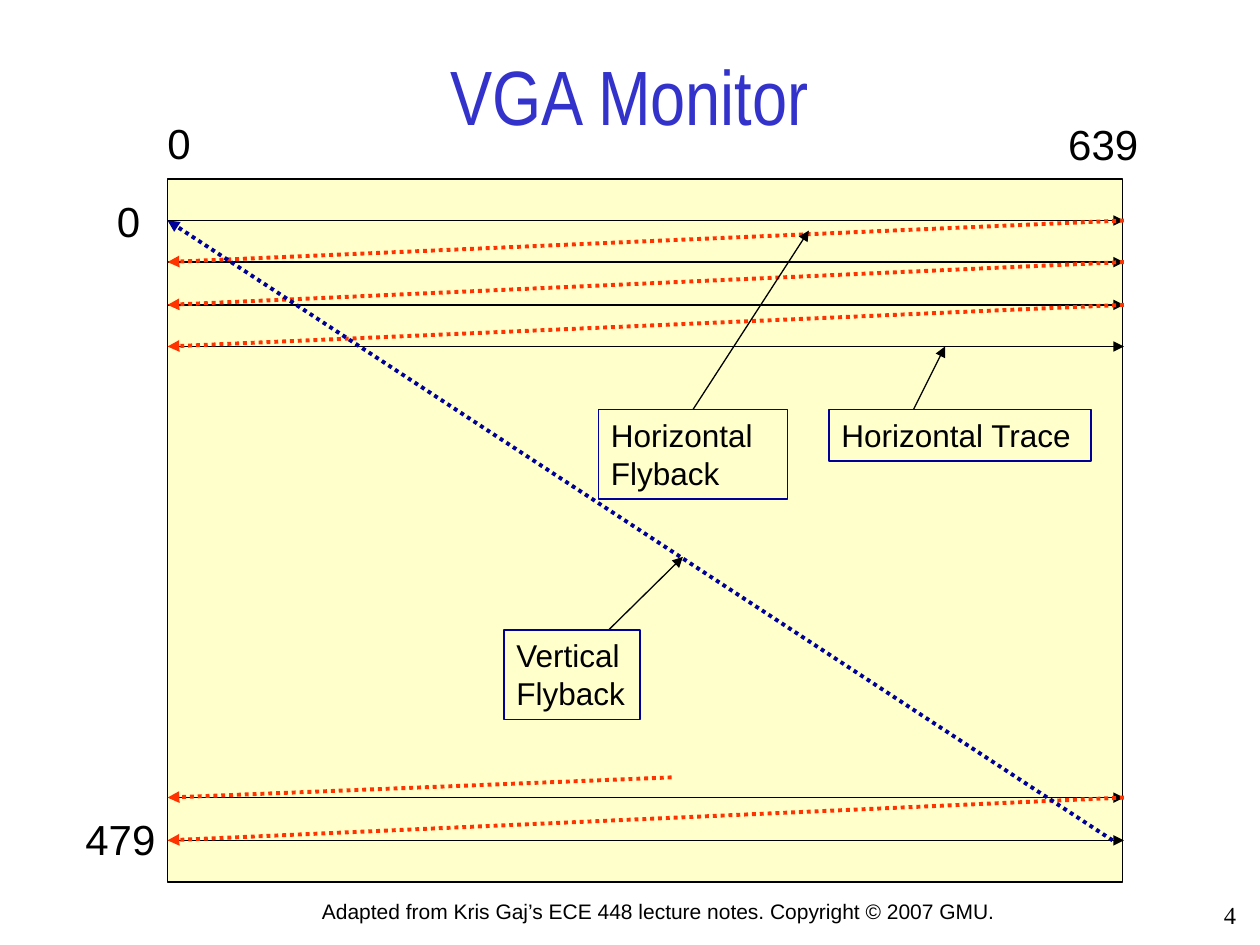
"""Build the VGA monitor scan diagram slide."""
from dataclasses import dataclass

from lxml import etree
from pptx import Presentation
from pptx.dml.color import RGBColor
from pptx.enum.dml import MSO_LINE
from pptx.enum.shapes import MSO_CONNECTOR, MSO_SHAPE
from pptx.enum.text import MSO_ANCHOR, MSO_AUTO_SIZE, PP_ALIGN
from pptx.oxml.ns import qn
from pptx.util import Inches, Pt

RECT = MSO_SHAPE.RECTANGLE
STRAIGHT = MSO_CONNECTOR.STRAIGHT
DOTS = MSO_LINE.ROUND_DOT
LEFT, MID, RIGHT = PP_ALIGN.LEFT, PP_ALIGN.CENTER, PP_ALIGN.RIGHT
TOP, CENTER = MSO_ANCHOR.TOP, MSO_ANCHOR.MIDDLE
FIT, FIXED = MSO_AUTO_SIZE.SHAPE_TO_FIT_TEXT, MSO_AUTO_SIZE.NONE
COLORS = {"ink": "000000", "title": "3333CC", "screen": "FFFFCC",
          "red": "FF3300", "blue": "000099"}
X0, X1 = 1.33, 8.92
ROW = 1 / 3
TRACES = [1.75 + ROW * i for i in range(4)] + [6.33, 6.67]


@dataclass
class Arrow:
    start: tuple[float, float]
    end: tuple[float, float]
    color: str = "ink"
    width: float = 0.75
    dotted: bool = False


@dataclass
class Label:
    text: str
    box: tuple[float, float, float, float]
    size: int
    align: PP_ALIGN = LEFT
    font: str = "Arial"
    wrap: bool = True
    framed: bool = False
    grow: bool = True
    inset: float = 0.1


def rgb(name: str) -> RGBColor:
    return RGBColor.from_string(COLORS[name])


def lengths(values: tuple) -> list:
    return [Inches(round(v, 2)) for v in values]


def write(shape, label: Label, color: str = "ink", anchor=TOP) -> None:
    frame = shape.text_frame
    frame.text = label.text
    style = {"word_wrap": label.wrap, "vertical_anchor": anchor,
             "auto_size": FIT if label.grow else FIXED,
             "margin_left": Inches(label.inset)}
    for key, value in style.items():
        setattr(frame, key, value)
    para = frame.paragraphs[0]
    para.alignment = label.align
    font = para.runs[0].font
    for key, value in {"name": label.font, "size": Pt(label.size)}.items():
        setattr(font, key, value)
    font.color.rgb = rgb(color)


def draw_box(slide, box: tuple, line: str, width: float):
    shape = slide.shapes.add_shape(RECT, *lengths(box))
    shape.shadow.inherit = False
    shape.fill.background()
    shape.line.color.rgb = rgb(line)
    shape.line.width = Pt(width)
    return shape


def draw_label(slide, label: Label) -> None:
    if label.framed:
        shape = draw_box(slide, label.box, "blue", 0.75)
    else:
        shape = slide.shapes.add_textbox(*lengths(label.box))
    write(shape, label)


def draw_arrow(slide, arrow: Arrow) -> None:
    ends = lengths(arrow.start + arrow.end)
    shape = slide.shapes.add_connector(STRAIGHT, *ends)
    line = shape.line
    line.color.rgb = rgb(arrow.color)
    line.width = Pt(arrow.width)
    if arrow.dotted:
        line.dash_style = DOTS
    props = shape.element.spPr
    etree.SubElement(props.find(qn("a:ln")), qn("a:tailEnd"), type="triangle")
    etree.SubElement(props, qn("a:effectLst"))


def flyback(start: tuple, end: tuple, color: str = "red") -> Arrow:
    return Arrow(start, end, color, 2.25, True)


ARROWS = [Arrow((X0, y), (X1, y), width=1 if y == TRACES[0] else 0.75)
          for y in TRACES]
ARROWS += [flyback((X1, TRACES[i]), (X0, TRACES[i + 1])) for i in (0, 1, 2, 4)]
ARROWS += [
    flyback((8.83, TRACES[-1]), (X0, TRACES[0]), "blue"),
    flyback((5.33, 6.17), (X0, TRACES[4])),
    Arrow((7.25, 3.25), (7.5, 2.75)),
    Arrow((5.5, 3.25), (6.42, 1.83)),
    Arrow((4.83, 5), (5.42, 4.42)),
]
LABELS = [Label(text, box, 18, framed=True) for text, box in (
    ("Horizontal Trace", (6.58, 3.25, 2.08, 0.41)),
    ("Horizontal Flyback", (4.75, 3.25, 1.5, 0.71)),
    ("Vertical Flyback", (4, 5, 1.08, 0.71)))]
LABELS += [Label(text, (x, y, w, 0.5), 24, wrap=False) for text, x, y, w in (
    ("0", 1.23, 0.88, 0.39), ("639", 8.38, 0.89, 0.76),
    ("479", 0.58, 6.41, 0.76), ("0", 0.83, 1.5, 0.39))]
LABELS += [
    Label("Adapted from Kris Gaj’s ECE 448 lecture notes. "
          "Copyright © 2007 GMU. ", (0, 7.08, 10, 0.33), 12, MID,
          grow=False, inset=0.6),
    Label("4", (7.83, 7.09, 2.08, 0.33), 14, RIGHT, "Times New Roman",
          grow=False),
]


def main() -> None:
    deck = Presentation()
    deck.slide_width, deck.slide_height = Inches(10), Inches(7.5)
    slide = deck.slides.add_slide(deck.slide_layouts[5])
    head = Label("VGA Monitor", (0.75, 0.33, 8.5, 0.84), 44, MID,
                 "Arial Narrow", grow=False)
    title = slide.shapes.title
    sides = ("left", "top", "width", "height")
    for side, value in zip(sides, lengths(head.box)):
        setattr(title, side, value)
    write(title, head, "title", CENTER)
    screen = draw_box(slide, (X0, 1.42, 7.58, 5.58), "ink", 1)
    screen.fill.solid()
    screen.fill.fore_color.rgb = rgb("screen")
    for arrow in ARROWS:
        draw_arrow(slide, arrow)
    for label in LABELS:
        draw_label(slide, label)
    deck.save("out.pptx")


main()
